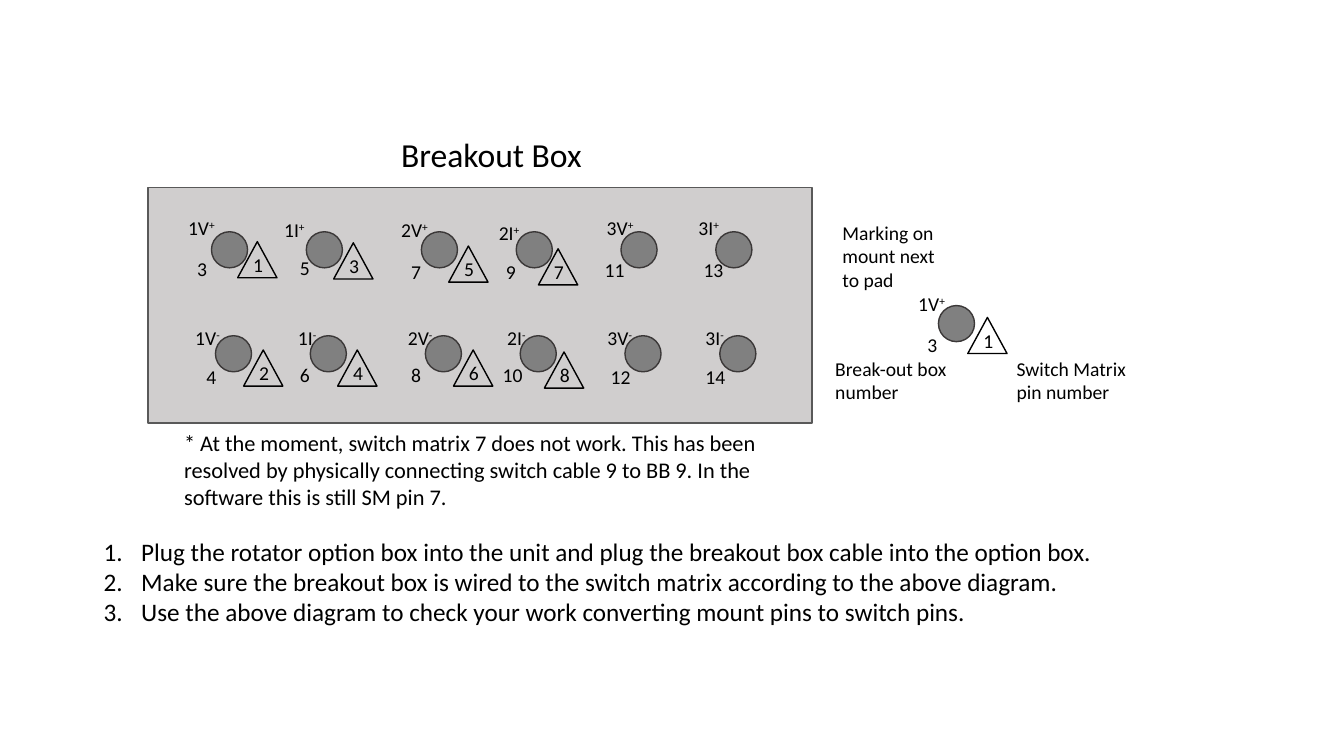
from itertools import product

from lxml.etree import SubElement as Sub
from pptx import Presentation as Deck
from pptx.dml.color import RGBColor as Rgb
from pptx.enum.shapes import MSO_SHAPE as Kind
from pptx.enum.text import MSO_AUTO_SIZE as Fit
from pptx.oxml.ns import qn
from pptx.util import Cm, Pt

TITLE = "Breakout Box"
NOTE = ("* At the moment, switch matrix 7 does not work. This has been resolved "
        "by physically connecting switch cable 9 to BB 9. In the software this "
        "is still SM pin 7.")
STEPS = [
    "Plug the rotator option box into the unit and plug the breakout box cable into the option box.",
    "Make sure the breakout box is wired to the switch matrix according to the above diagram.",
    "Use the above diagram to check your work converting mount pins to switch pins.",
]
# mount mark, sign, box number, switch pin, then the offset of each from its pad
PADS = [
    ("1V", "+", "3", "1", (-.84, -.53), (-.61, .51), (.66, .25)),
    ("1I", "+", "5", "3", (-.81, -.48), (-.41, .48), (.69, .28)),
    ("2V", "+", "7", "5", (-.76, -.48), (-.51, .58), (.69, .36)),
    ("2I", "+", "9", "7", (-.69, -.41), (-.51, .58), (.56, .43)),
    ("3V", "+", "11", "", (-.61, -.53), (-.66, .53), None),
    ("3I", "+", "13", "", (-.69, -.53), (-.56, .53), None),
    ("1V", "-", "4", "2", (-.76, -.38), (-.48, .61), (.71, .36)),
    ("1I", "-", "6", "4", (-.56, -.38), (-.51, .56), (.69, .36)),
    ("2V", "-", "8", "6", (-.69, -.38), (-.61, .56), (.71, .36)),
    ("2I", "-", "10", "8", (-.58, -.38), (-.69, .56), (.61, .41)),
    ("3V", "-", "12", "", (-.69, -.38), (-.61, .61), None),
    ("3I", "-", "14", "", (-.61, -.38), (-.61, .61), None),
]
KEY = ("1V", "+", "3", "1", (-.76, -.48), (-.53, .56), (.74, .3))
KEY_AT = (23.65, 7.7)
HINTS = [
    ("Marking on mount next to pad", (20.98, 5.44, 3.33, 2.06)),
    ("Break-out box number", (20.8, 8.86, 3.33, 1.45)),
    ("Switch Matrix pin number", (25.37, 8.86, 3.33, 1.45)),
]

THEME = {
    "font": "Calibri", "ink": "000000",
    "box": "D0CECE", "rim": "595959", "pad": "808080", "edge": "3B3838",
    "title": 24, "step": 18, "note": 16, "label": 14, "line": 1,
}
ROWS = [(0, 5.84), (.1, 8.46)]
PAIRS = [5.33, 10.62, 15.65]
GAP = 2.39
DOT, TRI, HIGH = .91, (.99, .91), .86
INDENT = Cm(.95)


def put(obj, vals):
    """Set each attribute of an object from a dict."""
    for name, val in vals.items():
        setattr(obj, name, val)


def form(home, kind, area, fill, edge):
    """Add a preset shape; no fill when the fill is None."""
    item = home.shapes.add_shape(kind, *map(Cm, area))
    item.shadow.inherit = False
    if fill:
        item.fill.solid()
        item.fill.fore_color.rgb = Rgb.from_string(THEME[fill])
    else:
        item.fill.background()
    item.line.color.rgb = Rgb.from_string(THEME[edge])
    item.line.width = Pt(THEME["line"])


def write(home, area, lines, size="label", wrap=False, sup=""):
    """Add a text box with one paragraph per line and an optional superscript."""
    frame = home.shapes.add_textbox(*map(Cm, area)).text_frame
    put(frame, {"word_wrap": wrap, "auto_size": Fit.SHAPE_TO_FIT_TEXT})
    for i, line in enumerate(lines):
        para = frame.add_paragraph() if i else frame.paragraphs[0]
        for text in filter(None, (line, sup)):
            run = para.add_run()
            run.text = text
            put(run.font, {"name": THEME["font"], "size": Pt(THEME[size])})
            run.font.color.rgb = Rgb.from_string(THEME["ink"])
        if sup:
            run.font._element.set("baseline", "30000")
    return frame


def number(frame):
    """Turn the paragraphs of a frame into a numbered list."""
    for para in frame.paragraphs:
        prop = para._p.get_or_add_pPr()
        prop.set("marL", str(INDENT))
        prop.set("indent", str(-INDENT))
        Sub(prop, qn("a:buFont")).set("typeface", "+mj-lt")
        Sub(prop, qn("a:buAutoNum")).set("type", "arabicPeriod")


def plug(home, spot, pad):
    """Draw one pad with its mount mark, box number and switch pin."""
    x, y = spot
    mark, sign, num, pin, *shifts = pad
    m_at, n_at, t_at = [s and (x + s[0], y + s[1]) for s in shifts]
    form(home, Kind.OVAL, (x, y, DOT, DOT), "pad", "edge")
    wide = .99 + .15 * ("V" in mark) + .08 * (sign == "+")
    write(home, (*m_at, wide, HIGH), [mark], sup=sign)
    write(home, (*n_at, .51 + .25 * len(num), HIGH), [num])
    if pin:
        form(home, Kind.ISOSCELES_TRIANGLE, (*t_at, *TRI), None, "ink")
        write(home, (t_at[0] + .14, t_at[1] + .16, .76, HIGH), [pin])


def main():
    """Build the slide and save it."""
    deck = Deck()
    put(deck, {"slide_width": Cm(33.87), "slide_height": Cm(19.05)})
    slide = deck.slides.add_slide(deck.slide_layouts[6])

    box = slide.shapes.add_group_shape()
    form(box, Kind.RECTANGLE, (3.73, 4.72, 16.74, 5.94), "box", "rim")
    spots = [(left + step + shift, top)
             for (shift, top), left, step in product(ROWS, PAIRS, (0, GAP))]
    for spot, pad in zip(spots, PADS):
        plug(box, spot, pad)

    key = slide.shapes.add_group_shape()
    plug(key, KEY_AT, KEY)
    for text, area in HINTS:
        write(key, area, [text], wrap=True)

    write(slide, (9.86, 3.25, 5.11, 1.27), [TITLE], "title")
    write(slide, (4.39, 10.69, 16.79, 2.31), [NOTE], "note", True)
    number(write(slide, (2.36, 13.39, 26.75, 2.57), STEPS, "step", True))
    deck.save("out.pptx")


main()
